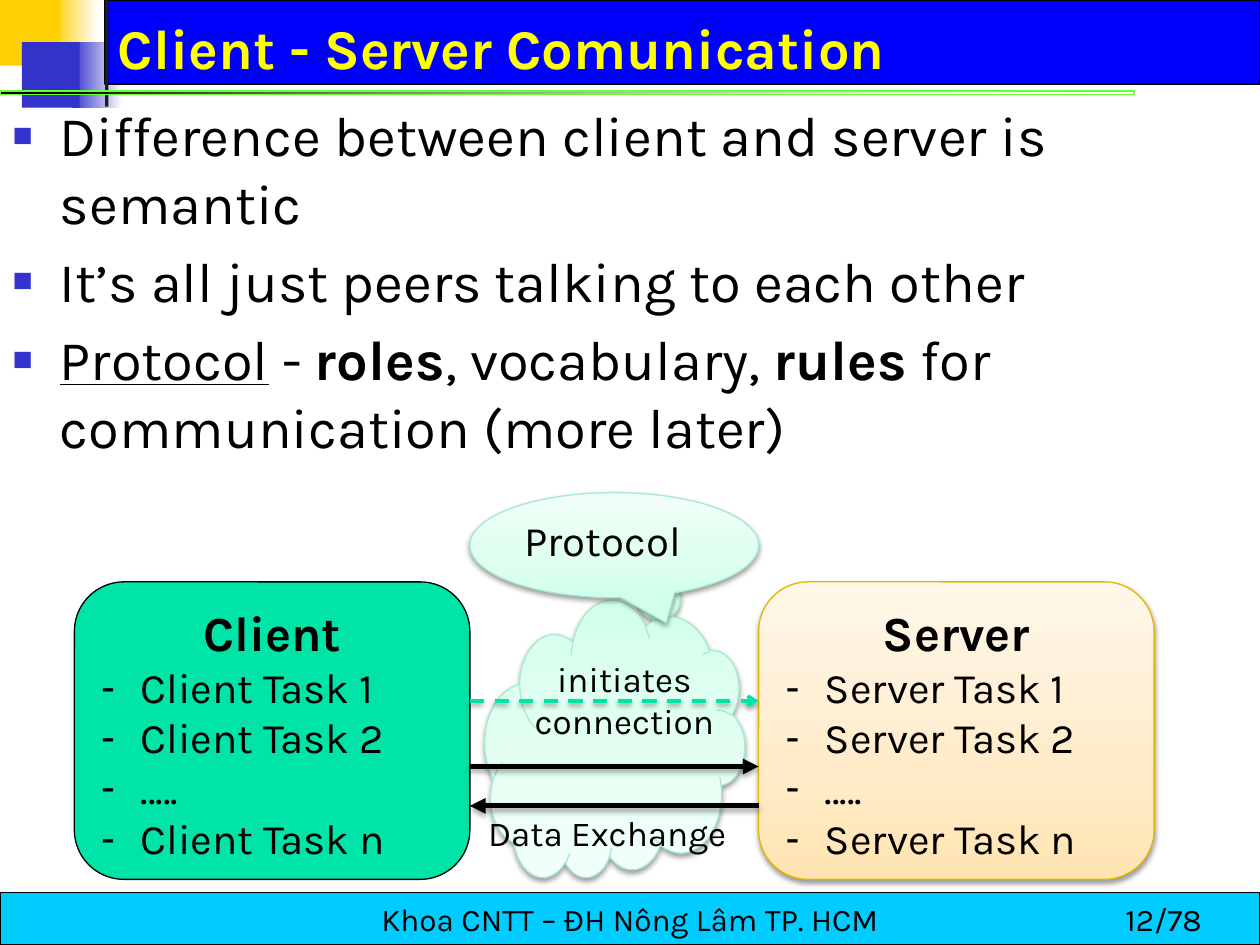
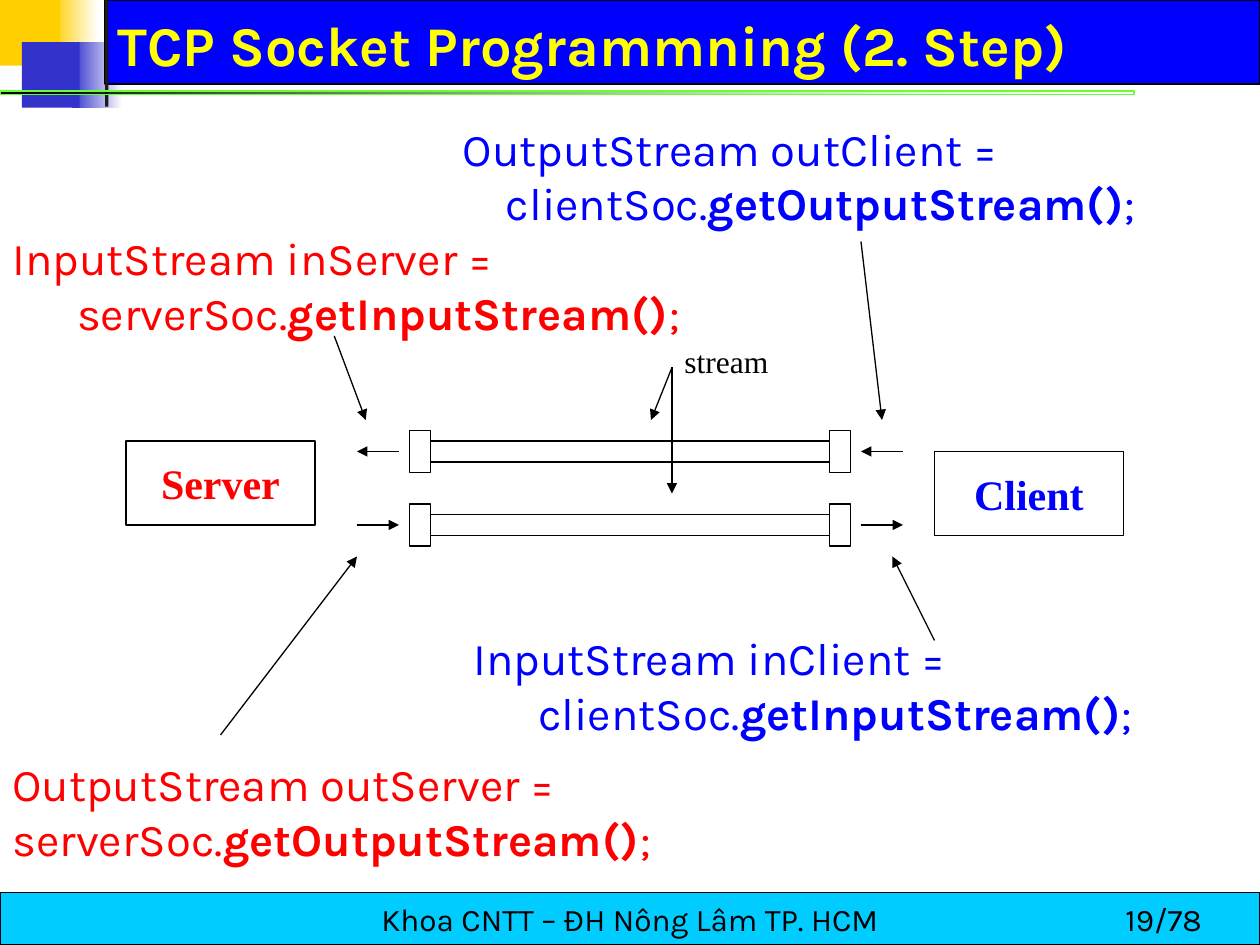
from pptx import Presentation
from pptx.dml.color import RGBColor
from pptx.enum import dml, shapes, text
from pptx.oxml import ns, parse_xml
from pptx.util import Pt

BLACK, BLUE, RED = "000000", "0000FF", "FF0000"
YELLOW, GOLD, INDIGO = "FFFF00", "FFCF01", "3333CC"
LIME, CYAN, GREEN = "66FF33", "00CCFF", "00E4A8"
MINT = [(0, "D2FFEA"), (35, "DFFFF0"), (100, "F2FFF9")]
MINT_EDGE = "A5EBCD"
CREAM = [(0, "FFE4B1"), (35, "FFEBC8"), (100, "FFF7EA")]
CREAM_EDGE = "E3B700"
SANS, SERIF = "Karla", "Times New Roman"
FORM = shapes.MSO_SHAPE
ALIGN = text.PP_ALIGN
ANCHOR = text.MSO_ANCHOR
LAYOUT_LIST, LAYOUT_TITLE = 1, 5


def color(code):
    """Turn a hex string into a colour."""
    return RGBColor.from_string(code)


def node(markup):
    """Build one drawing element from short markup."""
    name = markup.split()[0]
    return parse_xml(f"<a:{name} {ns.nsdecls('a')}{markup[len(name):]}")


def gradient(stops, angle):
    """Build a linear gradient; a stop is (percent, hex[, alpha percent])."""
    marks = ""
    for place, code, *alpha in stops:
        veil = "".join(f'<a:alpha val="{a * 1000}"/>' for a in alpha)
        marks += (f'<a:gs pos="{place * 1000}">'
                  f'<a:srgbClr val="{code}">{veil}</a:srgbClr></a:gs>')
    return node(f'gradFill rotWithShape="1"><a:gsLst>{marks}</a:gsLst>'
                f'<a:lin ang="{angle * 60000}" scaled="0"/></a:gradFill>')


def soft_shadow(alpha, distance):
    """Build a shadow that falls straight down."""
    return node(f'outerShdw blurRad="{Pt(3.1)}" dist="{Pt(distance)}" '
                f'dir="5400000" rotWithShape="0"><a:srgbClr val="000000">'
                f'<a:alpha val="{alpha * 1000}"/></a:srgbClr></a:outerShdw>')


def hang(para, indent):
    """Indent all lines of a paragraph but the first."""
    props = para._p.get_or_add_pPr()
    props.set("marL", str(Pt(indent)))
    props.set("indent", str(-Pt(indent)))
    return props


def set_bullet(para, mark, indent, code=None, percent=100):
    """Give a paragraph a hanging bullet; call before setting its font."""
    props = hang(para, indent)
    if code:
        props.append(node(f'buClr ><a:srgbClr val="{code}"/></a:buClr>'))
    props.append(node(f'buSzPct val="{percent * 1000}"/>'))
    props.append(node('buFont typeface="Arial"/>'))
    props.append(node(f'buChar char="{mark}"/>'))


class Painter:
    """Holds the deck style and the page being drawn."""

    def __init__(self):
        """Begin an empty deck."""
        self.deck = Presentation()
        self.deck.slide_width, self.deck.slide_height = Pt(720), Pt(540)

    def start(self, layout, title, number, anchor):
        """Add a page with the shared bands, title and footer."""
        self.page = self.deck.slides.add_slide(self.deck.slide_layouts[layout])
        fades = ((30, 0, 26, 37.5, GOLD), (41, 24, 29, 37.5, INDIGO))
        for *place, code in fades:
            self.shape(FORM.RECTANGLE, place, [(0, code), (100, "FFFFFF")], angle=0)
        self.shape(FORM.RECTANGLE, (60, 0, 660, 48), BLUE, BLACK)
        self.shape(FORM.RECTANGLE, (0, 0, 34.5, 37.5), GOLD)
        self.shape(FORM.RECTANGLE, (12.5, 24, 33, 37.5), INDIGO)
        self.shape(FORM.RECTANGLE, (60, 0, 2, 61), "1C1C1C")
        self.shape(FORM.RECTANGLE, (0, 52, 648, 2), [(0, BLACK), (100, LIME, 0)],
                   LIME, angle=0, width=0)
        footer = self.shape(FORM.RECTANGLE, (0, 510, 720, 30), CYAN, BLACK)
        self.label(footer, "Khoa CNTT – ĐH Nông Lâm TP. HCM", 18)
        self.text_box((636, 511, 84, 29), f"{number}/78", 18)
        heading = self.placeholder(self.page.shapes.title, (60, 6, 644, 42))
        heading.vertical_anchor = anchor
        para = heading.paragraphs[0]
        para.alignment = ALIGN.LEFT
        self.set_text(para, title, 32, YELLOW, bold=True)

    def placeholder(self, holder, place):
        """Move a template placeholder above the bands; return its frame."""
        holder.left, holder.top, holder.width, holder.height = map(Pt, place)
        holder.element.getparent().append(holder.element)
        holder.text_frame.auto_size = text.MSO_AUTO_SIZE.NONE
        return holder.text_frame

    def set_text(self, para, spans, size, code=BLACK, font=SANS, bold=None):
        """Fill a paragraph; a span is text or (text, "bold" or "underline")."""
        for span in [spans] if isinstance(spans, str) else spans:
            if span == "\n":
                para.add_line_break()
                continue
            words, flag = (span, None) if isinstance(span, str) else span
            run = para.add_run()
            run.text = words
            if flag == "bold":
                run.font.bold = True
            elif flag == "underline":
                run.font.underline = True
        para.font.size, para.font.name = Pt(size), font
        para.font.color.rgb = color(code)
        para.font.bold = bold

    def bullets(self, items):
        """Fill the body placeholder with square bullets."""
        frame = self.placeholder(self.page.placeholders[1], (0, 54, 720, 450))
        for index, spans in enumerate(items):
            para = frame.paragraphs[0] if index == 0 else frame.add_paragraph()
            para.space_before = Pt(6.4)
            set_bullet(para, "■", 27, INDIGO, 60)
            self.set_text(para, spans, 32)

    def shape(self, form, place, fill=None, edge=None, angle=270, width=0.75,
              shadow=False):
        """Draw a preset shape; fill is a hex string, gradient stops or None."""
        box = self.page.shapes.add_shape(form, *map(Pt, place))
        box.shadow.inherit = False
        if isinstance(fill, str):
            box.fill.solid()
            box.fill.fore_color.rgb = color(fill)
        else:
            box.fill.background()
            if fill:
                props = box.element.spPr
                props.replace(props.find(ns.qn("a:noFill")), gradient(fill, angle))
        if edge:
            box.line.color.rgb = color(edge)
            box.line.width = Pt(width)
        else:
            box.line.fill.background()
        if shadow:
            effects = box.element.spPr.find(ns.qn("a:effectLst"))
            effects.append(soft_shadow(38, 1.6))
        return box

    def label(self, box, words, size, code=BLACK, font=SANS, bold=None):
        """Centre one unwrapped line in a shape."""
        box.text_frame.word_wrap = False
        box.text_frame.vertical_anchor = ANCHOR.MIDDLE
        para = box.text_frame.paragraphs[0]
        para.alignment = ALIGN.CENTER
        self.set_text(para, words, size, code, font, bold)

    def text_box(self, place, spans, size, code=BLACK, font=SANS,
                 align=ALIGN.LEFT, indent=0):
        """Add wrapped text, with later lines indented if asked."""
        frame = self.page.shapes.add_textbox(*map(Pt, place)).text_frame
        frame.word_wrap = True
        frame.auto_size = text.MSO_AUTO_SIZE.SHAPE_TO_FIT_TEXT
        para = frame.paragraphs[0]
        para.alignment = align
        if indent:
            hang(para, indent)
        self.set_text(para, spans, size, code, font)

    def task_box(self, left, name, fill, edge, shadow):
        """Draw a rounded box with a heading and its task list."""
        box = self.shape(FORM.ROUNDED_RECTANGLE, (left, 332.5, 226, 170), fill,
                         edge, shadow=shadow)
        frame = box.text_frame
        frame.vertical_anchor = ANCHOR.TOP
        head = frame.paragraphs[0]
        head.alignment = ALIGN.CENTER
        self.set_text(head, name, 28, bold=True)
        for task in (f"{name} Task 1", f"{name} Task 2", ".....", f"{name} Task n"):
            para = frame.add_paragraph()
            para.alignment = ALIGN.LEFT
            set_bullet(para, "-", 22.5)
            self.set_text(para, task, 24)

    def line(self, start, end, code=BLACK, width=0.75, head="triangle",
             dash=None, shadow=None):
        """Draw a straight line, with an arrowhead at its end unless head is None."""
        link = self.page.shapes.add_connector(
            shapes.MSO_CONNECTOR.STRAIGHT, *map(Pt, (*start, *end)))
        link.line.color.rgb = color(code)
        link.line.width = Pt(width)
        if dash:
            link.line.dash_style = dash
        props = link.element.spPr
        if head:
            props.find(ns.qn("a:ln")).append(node(f'tailEnd type="{head}"/>'))
        effects = node("effectLst />")
        if shadow:
            effects.append(soft_shadow(*shadow))
        props.append(effects)

    def code(self, place, tint, stream, variable, socket, call, indent):
        """Show a two-line statement with its method call in bold."""
        spans = [f"{stream} {variable} =", "\n", f"{socket}.", (call, "bold"), ";"]
        self.text_box(place, spans, 26, tint, indent=indent)


def draw_communication(painter):
    """Client and server boxes that talk through a protocol cloud."""
    painter.start(LAYOUT_LIST, "Client - Server Comunication", 12, ANCHOR.MIDDLE)
    painter.bullets([
        "Difference between client and server is semantic",
        "It’s all just peers talking to each other",
        [("Protocol", "underline"), " - ", ("roles", "bold"), ", vocabulary, ",
         ("rules", "bold"), " for communication (more later)"],
    ])
    cloud = painter.shape(FORM.CLOUD_CALLOUT, (277, 343.5, 148.5, 158.5), MINT,
                          MINT_EDGE, shadow=True)
    cloud.rotation = 180
    client_edge, server_edge = 268.5, 433.5
    painter.task_box(42.5, "Client", GREEN, BLACK, False)
    painter.task_box(server_edge, "Server", CREAM, CREAM_EDGE, True)
    painter.line((client_edge, 400.5), (server_edge, 400.5), GREEN, 2, "arrow",
                 dml.MSO_LINE.DASH, (38, 1.6))
    painter.line((client_edge, 438), (server_edge, 438), width=3, shadow=(35, 1.8))
    painter.line((server_edge, 460.5), (client_edge, 460.5), width=3,
                 shadow=(35, 1.8))
    painter.text_box((280, 372, 153.5, 55.5), "initiates connection", 20,
                     align=ALIGN.CENTER)
    painter.text_box((268.5, 460, 157, 31.5), "Data Exchange", 20,
                     align=ALIGN.CENTER)
    bubble = painter.shape(FORM.OVAL_CALLOUT, (client_edge, 281.5, 165, 60), MINT,
                           MINT_EDGE, shadow=True)
    bubble.adjustments[0], bubble.adjustments[1] = 0.18, 0.74
    bubble.text_frame.vertical_anchor = ANCHOR.TOP
    para = bubble.text_frame.paragraphs[0]
    para.alignment = ALIGN.LEFT
    painter.set_text(para, "Protocol", 24)


def draw_streams(painter):
    """Two stream pipes between server and client, with the calls that open them."""
    painter.start(LAYOUT_TITLE, "TCP Socket Programmning (2. Step)", 19,
                  ANCHOR.BOTTOM)
    get_in, get_out = "getInputStream()", "getOutputStream()"
    painter.code((263.5, 356.5, 448, 70.5), BLUE, "InputStream", "inClient",
                 "clientSoc", get_in, 37)
    painter.code((257.5, 65.5, 448, 70.5), BLUE, "OutputStream", "outClient",
                 "clientSoc", get_out, 24.5)
    painter.code((0, 128, 451, 70.5), RED, "InputStream", "inServer",
                 "serverSoc", get_in, 37)
    painter.code((0, 428.5, 468, 70.5), RED, "OutputStream", "outServer",
                 "serverSoc", get_out, 0)
    pointers = [((534, 366), (510, 318)), ((492, 138), (504, 240)),
                ((191, 192), (209, 240)), ((126, 420), (204, 318)),
                ((384, 210), (372, 240)), ((384, 210), (384, 282))]
    for start, end in pointers:
        painter.line(start, end)
    painter.text_box((384, 192, 96, 29), "stream", 18, font=SERIF)

    for left, top, name, tint in ((72, 252, "Server", RED), (534, 258, "Client", BLUE)):
        box = painter.shape(FORM.RECTANGLE, (left, top, 108, 48), edge=BLACK)
        painter.label(box, name, 24, tint, SERIF, True)

    for top, to_server in ((246, True), (288, False)):
        for left in (234, 474):
            painter.shape(FORM.RECTANGLE, (left, top, 12, 24), edge=BLACK)
        for wall in (top + 6, top + 18):
            painter.line((246, wall), (474, wall), head=None)
        for left in (204, 492):
            ends = [(left, top + 12), (left + 24, top + 12)]
            painter.line(*(reversed(ends) if to_server else ends))


def main():
    """Draw both pages and save the deck."""
    painter = Painter()
    draw_communication(painter)
    draw_streams(painter)
    painter.deck.save("out.pptx")


main()
